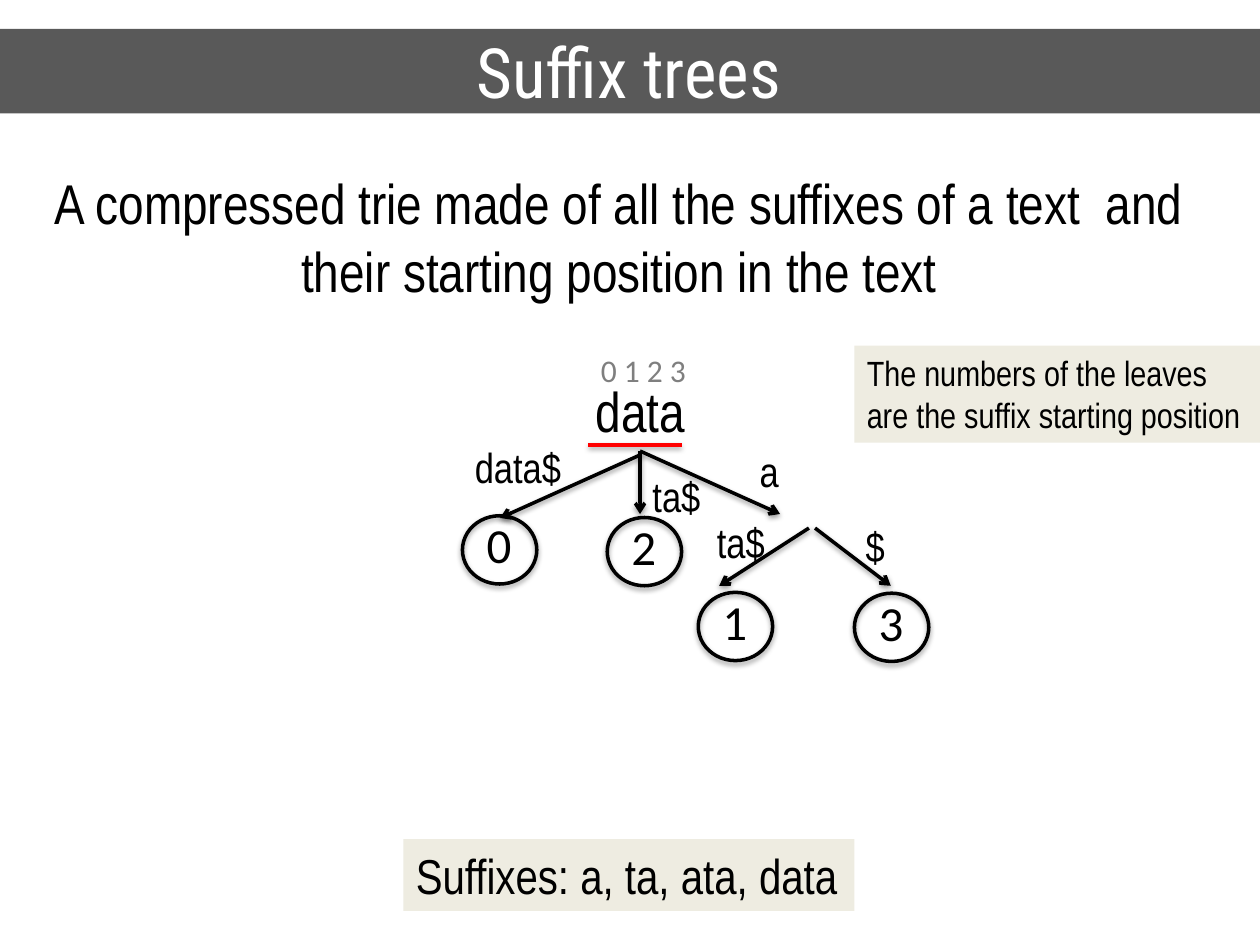
from pptx import Presentation
from pptx.util import Pt
from pptx.dml.color import RGBColor
from pptx.enum import shapes as sh, text as tx
from pptx.oxml import parse_xml
from pptx.oxml.ns import nsdecls

NARROW, DIGITS, TITLE = "Arial Narrow", "Calibri", "Roboto Condensed"
BLACK, WHITE, RED, GREY, DARK, BEIGE = (
    "000000", "FFFFFF", "FF0000", "7F7F7F", "595959", "EEECE1")
LEFT, CENTER = tx.PP_ALIGN.LEFT, tx.PP_ALIGN.CENTER

ROOT = (365.75, 257.75)
# start, end of each edge
EDGES = [
    (ROOT, (445.75, 293.75)),
    (ROOT, (365.75, 293.75)),
    ((365.75, 260), (285.75, 296)),
    ((465.75, 301.75), (509, 334.75)),
    ((462.25, 301.75), (411, 334.75)),
]
# text, left, top, width
EDGE_LABELS = [
    ("data$", 264.25, 249, 64),
    ("ta$", 365.75, 265.5, 42.5),
    ("a", 427, 251.25, 26),
    ("ta$", 402.5, 291.75, 42.5),
    ("$", 487.5, 294, 26),
]
# suffix start, left, top of the circle
LEAVES = [("0", 264.25, 294.75), ("2", 347, 295.75),
          ("1", 399, 338.5), ("3", 488.25, 339)]


def color(value):
    return RGBColor.from_string(value)


def set_text(sp, content, size, font=NARROW, fill=BLACK, align=LEFT,
             wrap=True, anchor=tx.MSO_ANCHOR.TOP):
    tf = sp.text_frame
    frame = {"word_wrap": wrap, "vertical_anchor": anchor,
             "auto_size": tx.MSO_AUTO_SIZE.NONE if wrap
             else tx.MSO_AUTO_SIZE.SHAPE_TO_FIT_TEXT}
    for name, value in frame.items():
        setattr(tf, name, value)
    p = tf.paragraphs[0]
    p.alignment = align
    r = p.add_run()
    r.text = content
    for name, value in {"size": Pt(size), "name": font}.items():
        setattr(r.font, name, value)
    r.font.color.rgb = color(fill)


def add_label(parent, content, left, top, width, height, size, fill=None, **fmt):
    """Add a text box, with a background when fill is given."""
    sp = parent.add_textbox(Pt(left), Pt(top), Pt(width), Pt(height))
    if fill:
        sp.fill.solid()
        sp.fill.fore_color.rgb = color(fill)
    set_text(sp, content, size, **fmt)


def style_stroke(sp, stroke=BLACK):
    """Give a shape or connector a 2 pt line and a soft shadow below."""
    sp.line.width = Pt(2)
    sp.line.color.rgb = color(stroke)
    sp._element.spPr.append(parse_xml(
        f'<a:effectLst {nsdecls("a")}><a:outerShdw blurRad="{Pt(3.1)}" '
        f'dist="{Pt(1.6)}" dir="5400000" rotWithShape="0"><a:srgbClr val="{BLACK}">'
        '<a:alpha val="38000"/></a:srgbClr></a:outerShdw></a:effectLst>'))


def add_line(s, start, end, stroke=BLACK, arrow=True):
    sp = s.shapes.add_connector(sh.MSO_CONNECTOR.STRAIGHT,
                                *(Pt(v) for v in (*start, *end)))
    style_stroke(sp, stroke)
    if arrow:
        sp.line._get_or_add_ln().append(
            parse_xml(f'<a:tailEnd {nsdecls("a")} type="arrow"/>'))


def add_leaf(s, number, left, top):
    group = s.shapes.add_group_shape().shapes
    sp = group.add_shape(sh.MSO_SHAPE.OVAL, Pt(left), Pt(top), Pt(42.5), Pt(39))
    sp.fill.background()
    style_stroke(sp)
    add_label(group, number, left + 6.75, top - 4, 28.75, 41, 28,
              font=DIGITS, wrap=False)


def add_title(s, content):
    sp = s.shapes.title
    place = {"left": -1.5, "top": 16.5, "width": 721.5, "height": 48.25}
    for name, value in place.items():
        setattr(sp, name, Pt(value))
    sp.fill.solid()
    sp.fill.fore_color.rgb = color(DARK)
    set_text(sp, content, 39.6, font=TITLE, fill=WHITE, align=CENTER,
             anchor=tx.MSO_ANCHOR.MIDDLE)


def add_fill_label(s, content, left, top, width, height, size, wrap):
    add_label(s.shapes, content, left, top, width, height, size,
              fill=BEIGE, wrap=wrap)


def add_tree(s):
    add_label(s.shapes, "data", 10.75, 211.75, 710.75, 46, 32, align=CENTER)
    # The position digits keep their own grey
    sp = s.shapes.add_textbox(Pt(336.25), Pt(197.25), Pt(63.5), Pt(29))
    set_text(sp, "0 1 2 3", 18, font=DIGITS, fill=GREY, wrap=False)
    add_line(s, (336.25, 254.25), (389.5, 254.25), RED, arrow=False)
    for start, end in EDGES:
        add_line(s, start, end)
    for leaf in LEAVES:
        add_leaf(s, *leaf)
    for content, left, top, width in EDGE_LABELS:
        add_label(s.shapes, content, left, top, width, 36, 24, wrap=False)


def main():
    prs = Presentation()
    prs.slide_width, prs.slide_height = Pt(720), Pt(540)
    s = prs.slides.add_slide(prs.slide_layouts[5])
    add_title(s, "Suffix trees")
    add_label(s.shapes, "A compressed trie made of all the suffixes of a text  "
              "and their starting position in the text",
              -1.5, 93, 710.75, 85, 32, align=CENTER)
    add_tree(s)
    add_fill_label(s, "Suffixes: a, ta, ata, data", 230.5, 479.5, 257.75, 41, 28, False)
    add_fill_label(s, "The numbers of the leaves are the suffix starting position",
                   488.25, 197.5, 232.5, 55.5, 20, True)
    prs.save("out.pptx")


if __name__ == "__main__":
    main()
